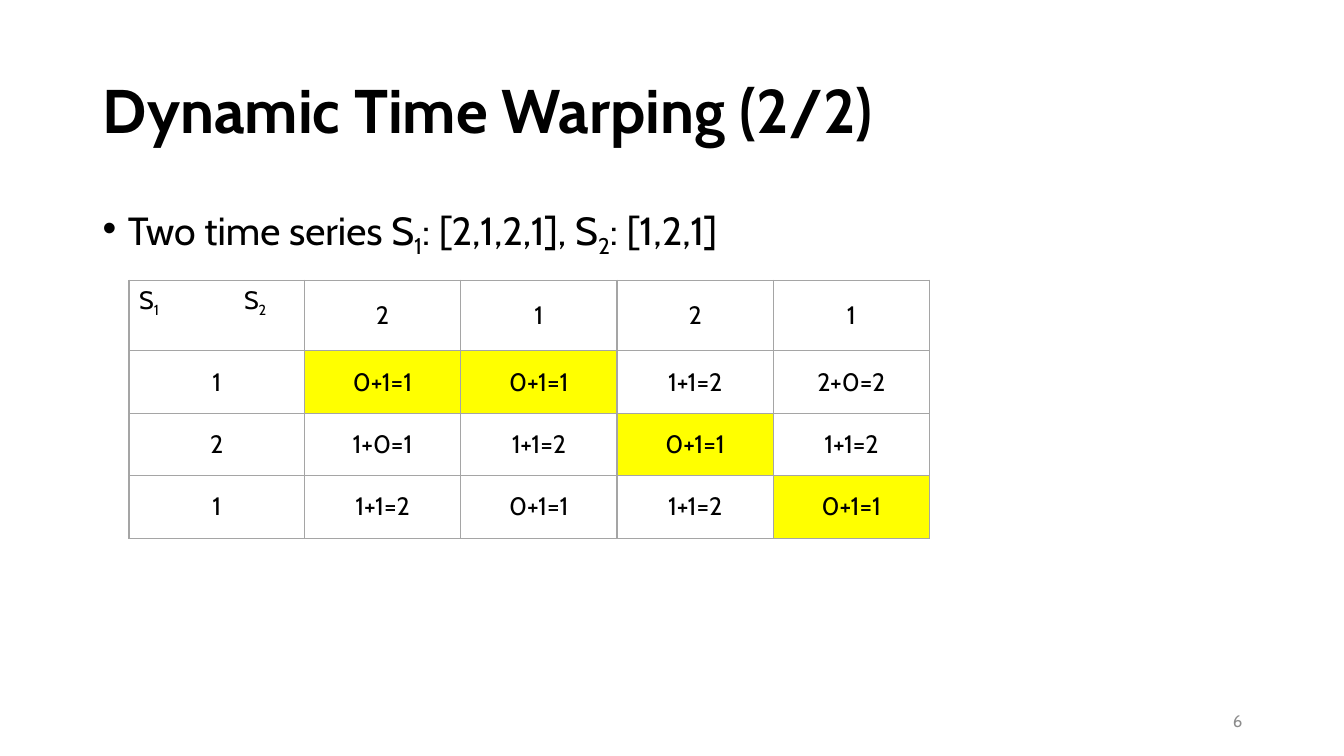
from lxml import etree
from pptx import Presentation
from pptx.dml.color import RGBColor
from pptx.enum import text as t
from pptx.oxml import ns
from pptx.util import Inches, Pt

COLORS = {"ink": "000000", "number": "8C8C8C", "border": "A5A5A5", "path": "FFFF00"}
FONT = "Cabin"


def write(paragraph, content, size, color="ink", bold=False):
    """Fill a paragraph; pieces between underscores become subscripts."""
    for i, piece in enumerate(content.split("_")):
        run = paragraph.add_run()
        run.text = piece
        if i % 2:
            run.font._element.set("baseline", "-25000")
    font = paragraph.font
    font.name, font.size, font.bold = FONT, Pt(size), bold
    font.color.rgb = RGBColor.from_string(COLORS[color])


def add_text(left, top, width, height, anchor):
    box = slide.shapes.add_textbox(Inches(left), Inches(top), Inches(width), Inches(height))
    box.text_frame.word_wrap = True
    box.text_frame.vertical_anchor = anchor
    return box.text_frame.paragraphs[0]


prs = Presentation()
prs.slide_width, prs.slide_height = Inches(13.33), Inches(7.5)
slide = prs.slides.add_slide(prs.slide_layouts[6])

# Title
title = add_text(0.92, 0.4, 11.5, 1.45, t.MSO_ANCHOR.MIDDLE)
title.line_spacing = 0.9
write(title, "Dynamic Time Warping (2/2)", 44, bold=True)

# Bullet with the two series
series = add_text(0.92, 2, 11.5, 4.76, t.MSO_ANCHOR.TOP)
series_props = series._p.get_or_add_pPr()
series_props.set("marL", str(Inches(0.25)))
series_props.set("indent", str(-Inches(0.25)))
etree.SubElement(series_props, ns.qn("a:buFont"), typeface="Arial")
etree.SubElement(series_props, ns.qn("a:buChar"), char="•")
series.line_spacing = 0.9
write(series, "Two time series S_1_: [2,1,2,1], S_2_: [1,2,1]", 28)

# Distance matrix
matrix = [
    ["S_1_\tS_2_", "2", "1", "2", "1"],
    ["1", "0+1=1", "0+1=1", "1+1=2", "2+0=2"],
    ["2", "1+0=1", "1+1=2", "0+1=1", "1+1=2"],
    ["1", "1+1=2", "0+1=1", "1+1=2", "0+1=1"],
]
warping_path = {(1, 1), (1, 2), (2, 3), (3, 4)}
grid = slide.shapes.add_table(4, 5, Inches(1.28), Inches(2.78), Inches(7.95), Inches(2.55)).table
grid.first_row = grid.horz_banding = False
for i, column in enumerate(grid.columns):
    column.width = Inches(1.55 if i else 1.74)
for i, row in enumerate(grid.rows):
    row.height = Inches(0.62 if i else 0.7)

for r, values in enumerate(matrix):
    for c, value in enumerate(values):
        cell = grid.cell(r, c)
        entry = cell.text_frame.paragraphs[0]
        if (r, c) == (0, 0):
            tabs = etree.SubElement(entry._p.get_or_add_pPr(), ns.qn("a:tabLst"))
            etree.SubElement(tabs, ns.qn("a:tab"), pos=str(Inches(1.04)), algn="l")
        else:
            cell.vertical_anchor = t.MSO_ANCHOR.MIDDLE
            entry.alignment = t.PP_ALIGN.CENTER
        write(entry, value, 18)

        if (r, c) in warping_path:
            cell.fill.solid()
            cell.fill.fore_color.rgb = RGBColor.from_string(COLORS["path"])
        else:
            cell.fill.background()

        # Borders come before the fill in the cell properties
        cell_props = cell._tc.get_or_add_tcPr()
        for i, side in enumerate(["lnL", "lnR", "lnT", "lnB"]):
            border = etree.Element(ns.qn(f"a:{side}"), w=str(Pt(1)))
            solid = etree.SubElement(border, ns.qn("a:solidFill"))
            etree.SubElement(solid, ns.qn("a:srgbClr"), val=COLORS["border"])
            cell_props.insert(i, border)

# Slide number
number = add_text(9.42, 6.95, 3, 0.4, t.MSO_ANCHOR.MIDDLE)
number.alignment = t.PP_ALIGN.RIGHT
write(number, "6", 12, "number")

prs.save("out.pptx")
